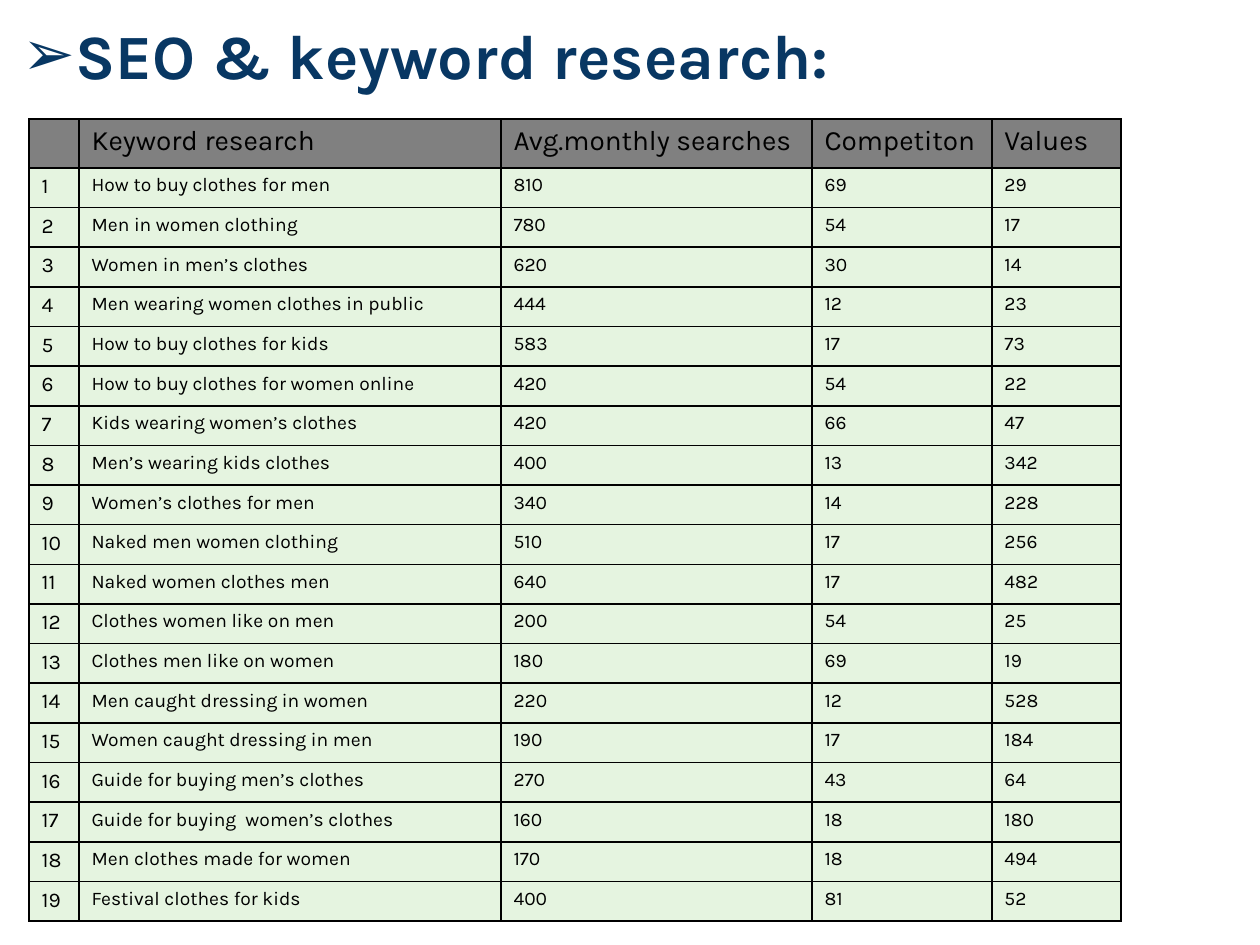
from lxml import etree
from pptx import Presentation
from pptx import util as u
from pptx.dml.color import RGBColor
from pptx.enum import text
from pptx.oxml import ns

PX_PER_INCH = 126
FONT = "Karla"
NAVY = RGBColor(0x08, 0x37, 0x63)
BLACK = RGBColor(0, 0, 0)
GRAY = RGBColor(0x80, 0x80, 0x80)
PALE_GREEN = RGBColor(0xE5, 0xF4, 0xE0)

COLUMN_WIDTHS = [50, 422, 311, 180, 129]
HEADER_HEIGHT = 49
BODY_HEIGHT = 754
HEADINGS = ["", "Keyword research", "Avg.monthly searches", "Competiton", "Values"]
KEYWORDS = [
    ("How to buy clothes for men", 810, 69, 29),
    ("Men in women clothing", 780, 54, 17),
    ("Women in men’s clothes", 620, 30, 14),
    ("Men wearing women clothes in public", 444, 12, 23),
    ("How to buy clothes for kids", 583, 17, 73),
    ("How to buy clothes for women online", 420, 54, 22),
    ("Kids wearing women’s clothes", 420, 66, 47),
    ("Men’s wearing kids clothes", 400, 13, 342),
    ("Women’s clothes for men", 340, 14, 228),
    ("Naked men women clothing", 510, 17, 256),
    ("Naked women clothes men", 640, 17, 482),
    ("Clothes women like on men", 200, 54, 25),
    ("Clothes men like on women", 180, 69, 19),
    ("Men caught dressing in women", 220, 12, 528),
    ("Women caught dressing in men", 190, 17, 184),
    ("Guide for buying men’s clothes", 270, 43, 64),
    ("Guide for buying  women’s clothes", 160, 18, 180),
    ("Men clothes made for women", 170, 18, 494),
    ("Festival clothes for kids", 400, 81, 52),
]


def px(length):
    return u.Emu(round(length * 914400 / PX_PER_INCH))


def add_child(parent, tag, **attributes):
    return etree.SubElement(parent, ns.qn(tag), attributes)


def add_run(paragraph, content, size, color, bold=False):
    run = paragraph.add_run()
    run.text = content
    run.font.name = FONT
    run.font.size = u.Pt(size)
    run.font.bold = bold
    run.font.color.rgb = color


def add_bullet(paragraph, character, indent):
    properties = paragraph._p.get_or_add_pPr()
    properties.set("marL", str(px(indent)))
    properties.set("indent", str(-px(indent)))
    add_child(properties, "a:buFont", typeface="Arial")
    add_child(properties, "a:buChar", char=character)


def set_title(slide, content):
    title = slide.shapes.title
    title.left, title.top, title.width, title.height = map(px, (10, 10, 849, 89))
    frame = title.text_frame
    frame.word_wrap = True
    frame.auto_size = text.MSO_AUTO_SIZE.SHAPE_TO_FIT_TEXT
    frame.vertical_anchor = text.MSO_ANCHOR.TOP
    paragraph = frame.paragraphs[0]
    paragraph.alignment = text.PP_ALIGN.LEFT
    add_bullet(paragraph, "➢", 52)
    add_run(paragraph, content, 36, NAVY, bold=True)


def set_borders(cell):
    properties = cell._tc.get_or_add_tcPr()
    for side in ("L", "R", "T", "B"):
        line = add_child(properties, f"a:ln{side}", w=str(u.Pt(1)))
        fill = add_child(line, "a:solidFill")
        add_child(fill, "a:srgbClr", val=str(BLACK))


def fill_cell(cell, content, size, color):
    set_borders(cell)
    cell.fill.solid()
    cell.fill.fore_color.rgb = color
    paragraph = cell.text_frame.paragraphs[0]
    if content:
        add_run(paragraph, content, size, BLACK)
    else:
        add_child(paragraph._p, "a:endParaRPr", sz=str(size * 100))


def add_keyword_table(slide):
    frame = slide.shapes.add_table(
        len(KEYWORDS) + 1, len(COLUMN_WIDTHS), px(29), px(119),
        px(sum(COLUMN_WIDTHS)), px(HEADER_HEIGHT + BODY_HEIGHT))
    table = frame.table
    table.first_row = False
    table.horz_banding = False
    for column, width in zip(table.columns, COLUMN_WIDTHS):
        column.width = px(width)
    for row in table.rows:
        row.height = px(BODY_HEIGHT / len(KEYWORDS))
    table.rows[0].height = px(HEADER_HEIGHT)

    for cell, heading in zip(table.rows[0].cells, HEADINGS):
        fill_cell(cell, heading, 16, GRAY)
    for number, values in enumerate(KEYWORDS, 1):
        for column, value in enumerate((number, *values)):
            size = 11 if column else 12
            fill_cell(table.cell(number, column), str(value), size, PALE_GREEN)


def main():
    presentation = Presentation()
    presentation.slide_width = px(1260)
    presentation.slide_height = px(945)
    slide = presentation.slides.add_slide(presentation.slide_layouts[5])
    add_keyword_table(slide)
    set_title(slide, "SEO & keyword research:")
    presentation.save("out.pptx")


if __name__ == "__main__":
    main()
